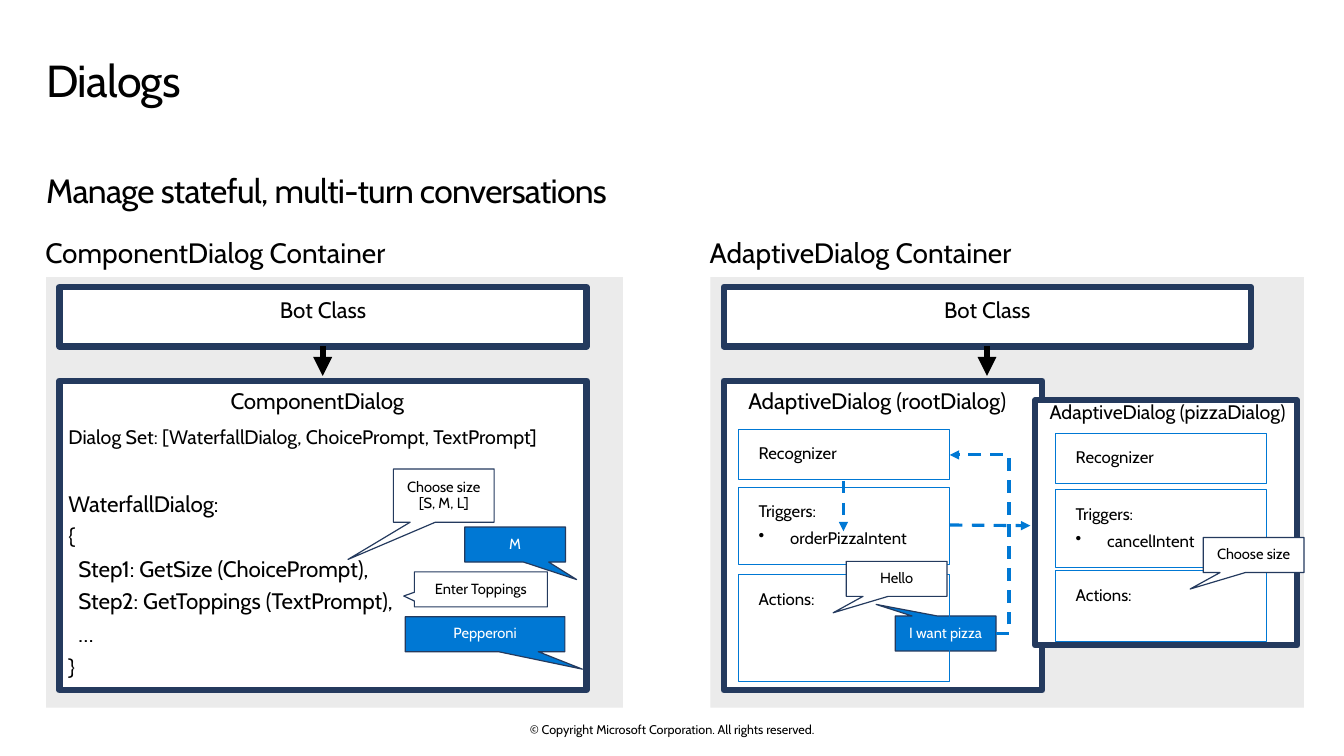
from dataclasses import dataclass

from lxml import etree
from pptx import Presentation
from pptx.dml.color import RGBColor
from pptx.enum.dml import MSO_LINE
from pptx.enum.shapes import MSO_CONNECTOR, MSO_SHAPE
from pptx.enum.text import MSO_ANCHOR, PP_ALIGN
from pptx.oxml.ns import qn
from pptx.util import Pt

LEFT, CENTER = PP_ALIGN.LEFT, PP_ALIGN.CENTER
TOP, MIDDLE = MSO_ANCHOR.TOP, MSO_ANCHOR.MIDDLE
RECTANGLE, CALLOUT = MSO_SHAPE.RECTANGLE, MSO_SHAPE.RECTANGULAR_CALLOUT
STRAIGHT, ELBOW = MSO_CONNECTOR.STRAIGHT, MSO_CONNECTOR.ELBOW
DASH = MSO_LINE.DASH


@dataclass(frozen=True)
class Theme:
    font: str = "Cabin"
    black: str = "000000"
    white: str = "FFFFFF"
    grey: str = "EBEBEB"
    navy: str = "243A5E"
    blue: str = "0078D4"
    title: float = 32
    subtitle: float = 24
    heading: float = 20
    label: float = 16
    detail: float = 14
    section: float = 12
    bubble: float = 10.5
    footer: float = 9


THEME = Theme()
WIDE = (14.4, 11.5, 14.4, 11.5)
TIGHT = (7.2, 7.2, 7.2, 7.2)
PLACEHOLDER_INSETS = (0, 7.2, 11.5, 7.2)

TITLE = "Dialogs"
SUBTITLE = "Manage stateful, multi-turn conversations"
COPYRIGHT = "© Copyright Microsoft Corporation. All rights reserved."
DIALOG_SET = "Dialog Set: [WaterfallDialog, ChoicePrompt, TextPrompt]"
WATERFALL = [
    "WaterfallDialog:",
    "{",
    "  Step1: GetSize (ChoicePrompt),",
    "  Step2: GetToppings (TextPrompt),",
    "  …",
    "}",
]
PANELS = [
    {"left": 33, "width": 412, "heading": "ComponentDialog Container",
     "dialog": "ComponentDialog", "dialog_width": 376.5},
    {"left": 507.5, "width": 424, "heading": "AdaptiveDialog Container",
     "dialog": "AdaptiveDialog (rootDialog)", "dialog_width": 227.5},
]
ROOT_SECTIONS = [
    (306.5, 36, ["Recognizer"]),
    (348, 55.5, ["Triggers:", "• orderPizzaIntent"]),
    (410.5, 76, ["Actions:"]),
]
PIZZA_SECTIONS = [
    (309.5, 36, ["Recognizer"]),
    (350, 55.5, ["Triggers:", "• cancelIntent"]),
    (407.5, 50.5, ["Actions:"]),
]
COMPONENT_BUBBLES = [
    ((281, 335, 72, 38), (-0.95, 1.2), ["Choose size", "[S, M, L]"], THEME.white),
    ((296, 408.5, 95, 25), (-0.58, 0.19), ["Enter Toppings"], THEME.white),
    ((332, 376.5, 72, 25), (0.61, 1), ["M"], THEME.blue),
    ((289.5, 440.5, 114, 25), (0.61, 1), ["Pepperoni"], THEME.blue),
]
ORDER_BUBBLES = [((639.5, 440, 72, 25), (-0.69, -0.83), ["I want pizza"], THEME.blue)]
REPLY_BUBBLES = [
    ((604.5, 401, 72, 25), (-0.63, 0.97), ["Hello"], THEME.white),
    ((859.5, 384, 72, 25), (-0.63, 0.97), ["Choose size"], THEME.white),
]


def rgb(color):
    """Turn a hex string into a colour."""
    return RGBColor.from_string(color)


def points(values):
    """Turn plain numbers into point lengths."""
    return [Pt(value) for value in values]


def write(shape, lines, size, color=THEME.black, align=LEFT, anchor=TOP, insets=WIDE,
          spacing=0.9, after=6, tracking=None):
    """Fill a shape with formatted paragraphs."""
    frame = shape.text_frame
    frame.word_wrap = True
    frame.vertical_anchor = anchor
    (frame.margin_left, frame.margin_top,
     frame.margin_right, frame.margin_bottom) = points(insets)
    for index, line in enumerate(lines):
        para = frame.paragraphs[0] if index == 0 else frame.add_paragraph()
        bulleted = line.startswith("• ")
        properties = para._p.get_or_add_pPr()
        properties.set("marL", str(Pt(22.5 if bulleted else 0)))
        properties.set("indent", str(Pt(-22.5 if bulleted else 0)))
        if bulleted:
            etree.SubElement(properties, qn("a:buChar")).set("char", "•")
        else:
            etree.SubElement(properties, qn("a:buNone"))
        para.alignment = align
        para.line_spacing = spacing
        para.space_before = Pt(0)
        para.space_after = Pt(after)
        span = para.add_run()
        span.text = line.removeprefix("• ")
        span.font.name = THEME.font
        span.font.size = Pt(size)
        span.font.color.rgb = rgb(color)
        if tracking:
            span._r.get_or_add_rPr().set("spc", str(tracking))


def add_text(page, area, lines, size, **style):
    """Add a text box."""
    write(page.shapes.add_textbox(*points(area)), lines, size, **style)


def add_box(page, area, fill=None, line=None, weight=4.5, preset=RECTANGLE):
    """Add a shape with optional fill and outline."""
    box = page.shapes.add_shape(preset, *points(area))
    box.shadow.inherit = False
    if fill:
        box.fill.solid()
        box.fill.fore_color.rgb = rgb(fill)
    else:
        box.fill.background()
    if line:
        box.line.color.rgb = rgb(line)
        box.line.width = Pt(weight)
    else:
        box.line.fill.background()
    return box


def add_arrow(page, ends, color=THEME.blue, weight=2.25, dash=DASH, kind=STRAIGHT, bend=None):
    """Add an arrow with a triangular head."""
    arrow = page.shapes.add_connector(kind, *points(ends))
    arrow.line.color.rgb = rgb(color)
    arrow.line.width = Pt(weight)
    if dash:
        arrow.line.dash_style = dash
    properties = arrow._element.spPr
    etree.SubElement(properties.find(qn("a:ln")), qn("a:tailEnd")).set("type", "triangle")
    etree.SubElement(properties, qn("a:effectLst"))
    if bend is not None:
        guide = etree.SubElement(properties.find(".//" + qn("a:avLst")), qn("a:gd"))
        guide.set("name", "adj1")
        guide.set("fmla", f"val {bend}")


def add_bubbles(page, bubbles):
    """Add speech bubbles with their pointers."""
    for area, pointer, lines, fill in bubbles:
        bubble = add_box(page, area, fill, THEME.navy, 0.85, CALLOUT)
        bubble.adjustments[0], bubble.adjustments[1] = pointer
        color = THEME.black if fill == THEME.white else THEME.white
        write(bubble, lines, THEME.bubble, color=color, align=CENTER, anchor=MIDDLE,
              insets=TIGHT, after=0)


def add_sections(page, left, sections):
    """Add the outlined sections of an adaptive dialog."""
    for top, height, lines in sections:
        box = add_box(page, (left, top, 151, height), line=THEME.blue, weight=0.75)
        write(box, lines, THEME.section)


def add_panel(page, left, width, heading, dialog, dialog_width):
    """Add a container panel with its bot class and main dialog."""
    inner = left + 9.5
    add_text(page, (left - 15, 160, 328, 45), [heading], THEME.heading)
    add_box(page, (left, 198, width, 307.5), THEME.grey)
    add_box(page, (inner, 272, dialog_width, 221), THEME.white, THEME.navy)
    add_text(page, (left + 1.5, 270, dialog_width + 8, 41), [dialog], THEME.label, align=CENTER)
    add_box(page, (inner, 205, 376.5, 42.5), THEME.white, THEME.navy)
    add_text(page, (inner, 205, 376.5, 41), ["Bot Class"], THEME.label, align=CENTER)
    add_arrow(page, (left + 197.5, 247, left + 197.5, 268.5), THEME.black, 4.5, None)


def main():
    """Build the slide about dialogs."""
    deck = Presentation()
    deck.slide_width, deck.slide_height = Pt(960), Pt(540)
    page = deck.slides.add_slide(deck.slide_layouts[1])
    title, body = page.placeholders
    for holder, top, height, text, size, spacing in (
            (title, 34.5, 53.5, TITLE, THEME.title, 0.9),
            (body, 114.5, 44, SUBTITLE, THEME.subtitle, 1.0)):
        holder.left, holder.top, holder.width, holder.height = points((33, top, 893, height))
        write(holder, [text], size, insets=PLACEHOLDER_INSETS, spacing=spacing, tracking=-50)
    add_text(page, (318, 515.5, 324, 11), [COPYRIGHT], THEME.footer, align=CENTER,
             anchor=MIDDLE, insets=(0, 0, 0, 0), spacing=1.0, after=0)
    for panel in PANELS:
        add_panel(page, **panel)
    add_text(page, (34.5, 298, 389, 39), [DIALOG_SET], THEME.detail)
    add_text(page, (34.5, 340.5, 279.5, 158.5), WATERFALL, THEME.label)
    add_bubbles(page, COMPONENT_BUBBLES + ORDER_BUBBLES)
    add_sections(page, 527.5, ROOT_SECTIONS)
    add_box(page, (739.5, 286, 187, 175), THEME.white, THEME.navy)
    add_text(page, (714.5, 280, 239, 36), ["AdaptiveDialog (pizzaDialog)"],
             THEME.detail, align=CENTER)
    add_arrow(page, (711.5, 452.5, 678.5, 325), kind=ELBOW, bend=-28100)
    add_arrow(page, (602.5, 343.5, 602.5, 379.5))
    add_arrow(page, (678.5, 375, 736, 375.5))
    add_sections(page, 754, PIZZA_SECTIONS)
    add_bubbles(page, REPLY_BUBBLES)
    deck.save("out.pptx")


if __name__ == "__main__":
    main()
